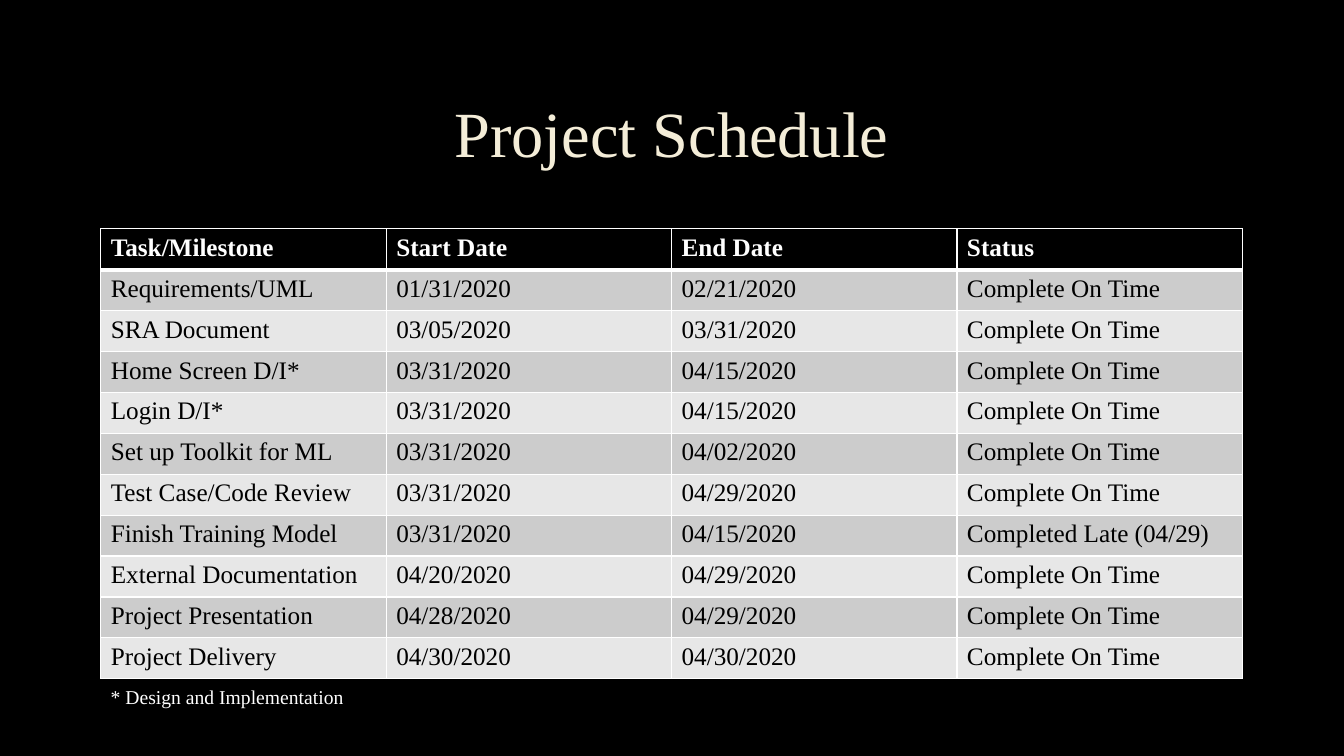
from lxml.etree import SubElement
from pptx import Presentation
from pptx.dml.color import RGBColor
from pptx.enum.text import MSO_ANCHOR, MSO_AUTO_SIZE, PP_ALIGN
from pptx.oxml import parse_xml
from pptx.oxml.ns import nsdecls, qn
from pptx.util import Pt

FONT = "Times New Roman"
LEFT, WIDTH = 72, 815.4
ROW_HEIGHT = 29.23
BLACK, WHITE = "000000", "FFFFFF"
BANDS = ("CCCCCC", "E7E7E7")
ON_TIME = "Complete On Time"
SCHEDULE = [
    ("Task/Milestone", "Start Date", "End Date", "Status"),
    ("Requirements/UML", "01/31/2020", "02/21/2020", ON_TIME),
    ("SRA Document", "03/05/2020", "03/31/2020", ON_TIME),
    ("Home Screen D/I*", "03/31/2020", "04/15/2020", ON_TIME),
    ("Login D/I*", "03/31/2020", "04/15/2020", ON_TIME),
    ("Set up Toolkit for ML", "03/31/2020", "04/02/2020", ON_TIME),
    ("Test Case/Code Review", "03/31/2020", "04/29/2020", ON_TIME),
    ("Finish Training Model", "03/31/2020", "04/15/2020", "Completed Late (04/29)"),
    ("External Documentation", "04/20/2020", "04/29/2020", ON_TIME),
    ("Project Presentation", "04/28/2020", "04/29/2020", ON_TIME),
    ("Project Delivery", "04/30/2020", "04/30/2020", ON_TIME),
]


def paint(color_format, color):
    color_format.rgb = RGBColor.from_string(color)


def fill_solid(fill, color):
    fill.solid()
    paint(fill.fore_color, color)


def write(frame, text, size, color, bold=False):
    frame.text = text
    span = frame.paragraphs[0].runs[0]
    span.font.name = FONT
    span.font.size = Pt(size)
    span.font.bold = bold
    paint(span.font.color, color)
    return span


def outline_text(span, color, width, opacity):
    line = parse_xml(f'<a:ln {nsdecls("a")} w="{Pt(width)}"/>')
    fill = SubElement(line, qn("a:solidFill"))
    tint = SubElement(fill, qn("a:srgbClr"), val=color)
    SubElement(tint, qn("a:alpha"), val=str(opacity * 1000))
    span.font._element.insert(0, line)


def add_title(page, text):
    title = page.shapes.title
    title.left, title.top = Pt(LEFT), Pt(48)
    title.width, title.height = Pt(WIDTH), Pt(99.4)
    frame = title.text_frame
    frame.vertical_anchor = MSO_ANCHOR.MIDDLE
    span = write(frame, text, 46, "F4EDD8")
    para = frame.paragraphs[0]
    para.alignment = PP_ALIGN.CENTER
    para.line_spacing = 0.9
    outline_text(span, "404040", 0.75, 10)


def set_borders(cell, top, bottom):
    properties = cell._tc.get_or_add_tcPr()
    widths = {"lnL": 1, "lnR": 1, "lnT": top, "lnB": bottom}
    for place, (side, width) in enumerate(widths.items()):
        line = parse_xml(f'<a:{side} {nsdecls("a")} w="{Pt(width)}"/>')
        fill = SubElement(line, qn("a:solidFill"))
        SubElement(fill, qn("a:srgbClr"), val=WHITE)
        properties.insert(place, line)


def add_schedule(page, rows):
    columns = len(rows[0])
    table = page.shapes.add_table(
        len(rows), columns, Pt(LEFT), Pt(163.4), Pt(WIDTH), Pt(ROW_HEIGHT * len(rows))
    ).table
    for column in table.columns:
        column.width = Pt(WIDTH / columns)
    for index, values in enumerate(rows):
        table.rows[index].height = Pt(ROW_HEIGHT)
        header = index == 0
        for column, text in enumerate(values):
            cell = table.cell(index, column)
            write(cell.text_frame, text, 18, WHITE if header else BLACK, header)
            fill_solid(cell.fill, BLACK if header else BANDS[(index - 1) % 2])
            set_borders(cell, 3 if index == 1 else 1, 3 if header else 1)


def add_footnote(page, text):
    box = page.shapes.add_textbox(Pt(LEFT), Pt(486), Pt(180.7), Pt(24.5))
    frame = box.text_frame
    write(frame, text, 14, WHITE)
    frame.word_wrap = False
    frame.auto_size = MSO_AUTO_SIZE.SHAPE_TO_FIT_TEXT


def main():
    deck = Presentation()
    deck.slide_width, deck.slide_height = Pt(960), Pt(540)
    page = deck.slides.add_slide(deck.slide_layouts[5])
    fill_solid(page.background.fill, BLACK)
    add_title(page, "Project Schedule")
    add_schedule(page, SCHEDULE)
    add_footnote(page, "* Design and Implementation")
    deck.save("out.pptx")


if __name__ == "__main__":
    main()
